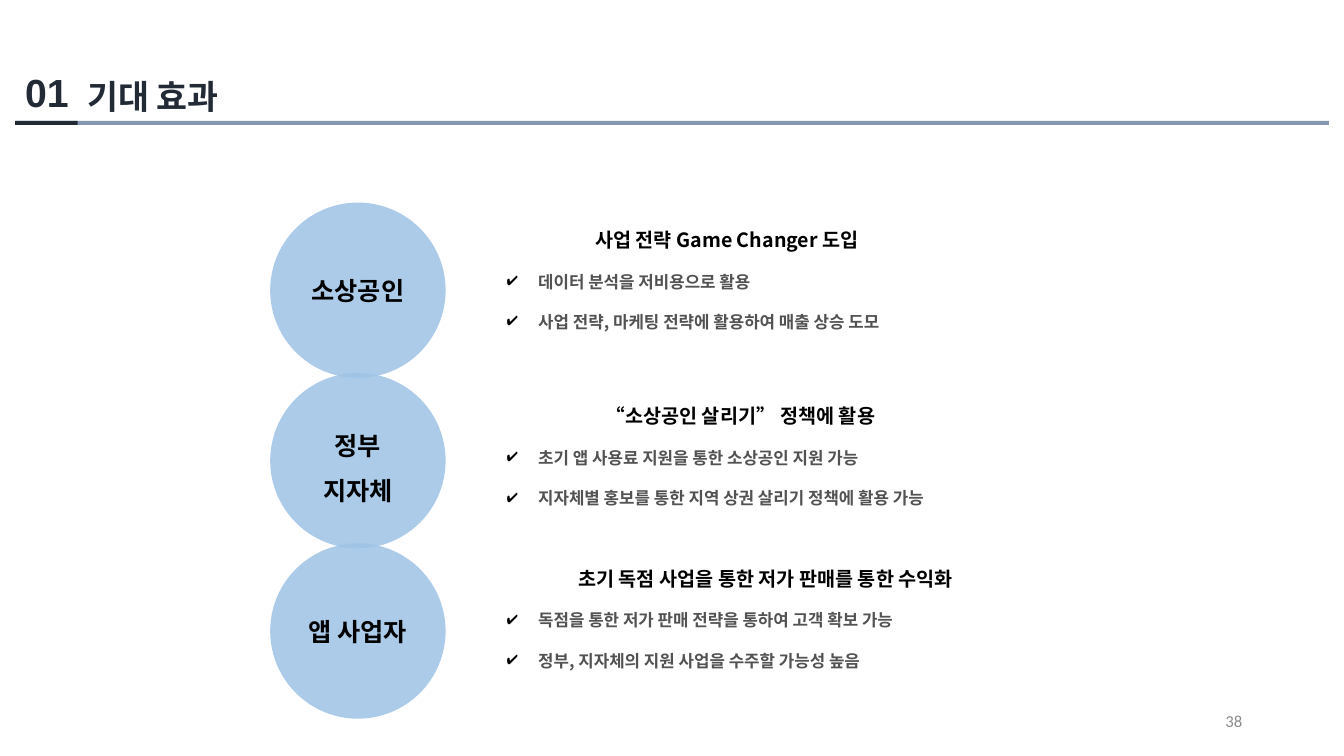
from dataclasses import dataclass

from lxml.etree import SubElement
from pptx import Presentation
from pptx.dml.color import RGBColor
from pptx.enum.shapes import MSO_SHAPE
from pptx.enum.text import MSO_ANCHOR, PP_ALIGN
from pptx.oxml.ns import qn
from pptx.util import Inches, Pt


@dataclass(frozen=True)
class Theme:
    navy: str = "222A35"
    rule: str = "8597B1"
    circle: str = "9DC3E6"
    black: str = "000000"
    body: str = "525252"
    muted: str = "8C8C8C"
    korean: str = "Noto Sans CJK KR"
    latin: str = "Calibri"
    digits: str = "Arial"
    number_size: int = 28
    title_size: int = 24
    label_size: int = 18
    heading_size: int = 14
    small_size: int = 12


THEME = Theme()

# Each group: circle label, label line spacing, text box (top, width), heading, points
GROUPS = [
    ("소상공인", 1, (1.93, 4.56), "사업 전략 Game Changer 도입",
     ["데이터 분석을 저비용으로 활용",
      "사업 전략, 마케팅 전략에 활용하여 매출 상승 도모"]),
    ("정부 지자체", 1.5, (3.68, 4.83), "“소상공인 살리기” 정책에 활용",
     ["초기 앱 사용료 지원을 통한 소상공인 지원 가능",
      "지자체별 홍보를 통한 지역 상권 살리기 정책에 활용 가능"]),
    ("앱 사업자", 1, (5.29, 5.33), "초기 독점 사업을 통한 저가 판매를 통한 수익화",
     ["독점을 통한 저가 판매 전략을 통하여 고객 확보 가능",
      "정부, 지자체의 지원 사업을 수주할 가능성 높음"]),
]


def add_span(para, text, size, color, font, bold=True):
    span = para.add_run()
    span.text = text
    span.font.size = Pt(size)
    span.font.bold = bold
    span.font.color.rgb = RGBColor.from_string(color)
    span.font.name = font
    east_asian = SubElement(span.font._element, qn("a:ea"))
    east_asian.set("typeface", THEME.korean)


def add_filled(page, kind, box, color):
    shape = page.shapes.add_shape(kind, *map(Inches, box))
    shape.shadow.inherit = False
    shape.fill.solid()
    shape.fill.fore_color.rgb = RGBColor.from_string(color)
    shape.line.fill.background()
    return shape


def add_text_frame(page, box, anchor=MSO_ANCHOR.TOP):
    frame = page.shapes.add_textbox(*map(Inches, box)).text_frame
    frame.word_wrap = True
    frame.vertical_anchor = anchor
    return frame


def add_check_bullet(para):
    properties = para._p.get_or_add_pPr()
    indent = Inches(0.31)
    properties.set("marL", str(indent))
    properties.set("indent", str(-indent))
    bullet_color = SubElement(properties, qn("a:buClr"))
    SubElement(bullet_color, qn("a:srgbClr")).set("val", THEME.black)
    SubElement(properties, qn("a:buChar")).set("char", "✔")


def add_header(page, left, top, width):
    # Rule with a dark section under the number
    rule_top = top + 0.57
    add_filled(page, MSO_SHAPE.RECTANGLE, (left, rule_top, width, 0.04), THEME.rule)
    add_filled(page, MSO_SHAPE.RECTANGLE, (left, rule_top, 0.62, 0.04), THEME.navy)
    # Number and title
    number = add_text_frame(page, (left, top, 0.67, 0.57))
    add_span(number.paragraphs[0], "01", THEME.number_size, THEME.navy, THEME.digits)
    title = add_text_frame(page, (left + 0.62, top + 0.07, 3.63, 0.5))
    add_span(title.paragraphs[0], "기대 효과", THEME.title_size, THEME.navy, THEME.latin)


def add_circle(page, box, label, line_spacing):
    circle = add_filled(page, MSO_SHAPE.OVAL, box, THEME.circle)
    color = circle.fill._xPr.find(qn("a:solidFill"))[0]
    SubElement(color, qn("a:alpha")).set("val", "85000")
    frame = circle.text_frame
    frame.word_wrap = True
    frame.vertical_anchor = MSO_ANCHOR.MIDDLE
    para = frame.paragraphs[0]
    para.alignment = PP_ALIGN.CENTER
    para.line_spacing = line_spacing
    add_span(para, label, THEME.label_size, THEME.black, THEME.korean)


def add_effects(page, box, heading, points):
    frame = add_text_frame(page, box, MSO_ANCHOR.MIDDLE)
    frame.margin_top = frame.margin_bottom = Inches(0.1)
    para = frame.paragraphs[0]
    para.alignment = PP_ALIGN.CENTER
    para.line_spacing = 2.0
    add_span(para, heading, THEME.heading_size, THEME.black, THEME.korean)
    for point in points:
        para = frame.add_paragraph()
        add_check_bullet(para)
        para.line_spacing = 2.0
        add_span(para, point, THEME.small_size, THEME.body, THEME.korean)


def add_groups(page, left, top):
    diameter, pitch = 1.74, 1.69
    for index, (label, spacing, (text_top, width), heading, points) in enumerate(GROUPS):
        circle_box = (left, top + index * pitch, diameter, diameter)
        add_circle(page, circle_box, label, spacing)
        add_effects(page, (left + 2.25, text_top, width, 1.46), heading, points)


def add_page_number(page, box):
    para = add_text_frame(page, box, MSO_ANCHOR.MIDDLE).paragraphs[0]
    para.alignment = PP_ALIGN.RIGHT
    add_span(para, "38", THEME.small_size, THEME.muted, THEME.latin, bold=False)


def main():
    deck = Presentation()
    deck.slide_width = Inches(13.33)
    deck.slide_height = Inches(7.5)
    page = deck.slides.add_slide(deck.slide_layouts[6])
    add_header(page, 0.15, 0.63, 13.03)
    add_groups(page, 2.68, 2.01)
    add_page_number(page, (9.42, 6.95, 3, 0.4))
    deck.save("out.pptx")


if __name__ == "__main__":
    main()
